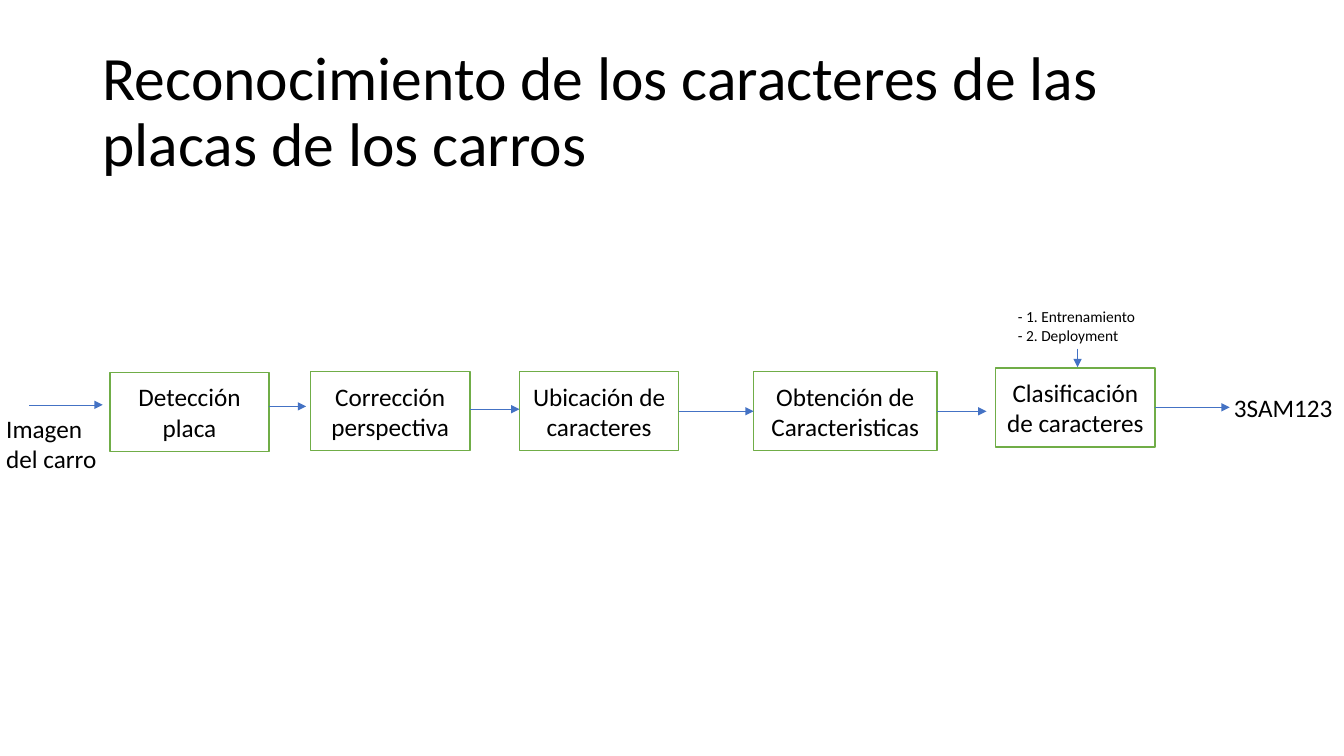
"""Build a slide with the steps that read the characters of a car plate."""
from lxml import etree
from pptx import Presentation
from pptx.dml.color import RGBColor
from pptx.enum import shapes, text
from pptx.oxml.ns import qn
from pptx.util import Pt

HUES = {"ink": "000000", "paper": "FFFFFF", "edge": "70AD47", "arrow": "4472C4"}
FONT = "Calibri"
HEAD = "Reconocimiento de los caracteres de las placas de los carros"
HIGH = 56.4
STEPS = [
    ("Detección placa", 78.5, 266, 113.8),
    ("Corrección perspectiva", 221.8, 265.5, 113.8),
    ("Ubicación de caracteres", 371, 265.5, 113.8),
    ("Obtención de Caracteristicas", 538.3, 265.5, 131),
    ("Clasificación de caracteres", 711.2, 263, 113.8),
]
NOTES = [
    (["Imagen", "del carro"], (-2.6, 291.6, 80, 51), 18, False),
    (["3SAM123"], (874.3, 276.5, 85.7, 29), 18, False),
    (["- 1. Entrenamiento", "- 2. Deployment"], (720, 216, 100, 34), 11, True),
]
FLOWS = [
    (21, 289.2, 73.4, 289.2),
    (192.3, 290.3, 218.7, 290.3),
    (335.6, 292.3, 371, 292.3),
    (484.8, 293.8, 538.3, 293.8),
    (669.3, 293.8, 704.7, 293.8),
    (825, 291, 878.4, 291),
    (769.7, 249.1, 769.7, 262.3),
]


def tint(key):
    return RGBColor.from_string(HUES[key])


def write(frame, lines, size=18, align="LEFT", anchor="TOP", wrap=True, lead=None):
    frame.auto_size = text.MSO_AUTO_SIZE.NONE
    frame.word_wrap = wrap
    frame.vertical_anchor = getattr(text.MSO_ANCHOR, anchor)
    for num, line in enumerate(lines):
        para = frame.add_paragraph() if num else frame.paragraphs[0]
        para.alignment = getattr(text.PP_ALIGN, align)
        if lead:
            para.line_spacing = lead
        run = para.add_run()
        run.text = line
        run.font.name, run.font.size = FONT, Pt(size)
        run.font.color.rgb = tint("ink")


def box(slide, label, *place):
    shape = slide.shapes.add_shape(shapes.MSO_SHAPE.RECTANGLE, *map(Pt, place))
    shape.shadow.inherit = False
    shape.fill.solid()
    shape.fill.fore_color.rgb = tint("paper")
    shape.line.color.rgb = tint("edge")
    shape.line.width = Pt(1)
    write(shape.text_frame, [label], align="CENTER", anchor="MIDDLE")


def arrow(slide, ends):
    link = slide.shapes.add_connector(shapes.MSO_CONNECTOR.STRAIGHT, *map(Pt, ends))
    link.line.color.rgb = tint("arrow")
    link.line.width = Pt(0.5)
    etree.SubElement(link.line._get_or_add_ln(), qn("a:tailEnd"), type="triangle")
    etree.SubElement(link._element.spPr, qn("a:effectLst"))


def main():
    deck = Presentation()
    deck.slide_width, deck.slide_height = Pt(960), Pt(540)
    slide = deck.slides.add_slide(deck.slide_layouts[5])
    title = slide.shapes.title
    title.left, title.top, title.width, title.height = map(Pt, (66, 28.8, 828, 104.4))
    write(title.text_frame, [HEAD], size=44, anchor="MIDDLE", lead=0.9)
    for label, left, top, wide in STEPS:
        box(slide, label, left, top, wide, HIGH)
    for ends in FLOWS:
        arrow(slide, ends)
    for lines, place, size, wrap in NOTES:
        note = slide.shapes.add_textbox(*map(Pt, place))
        write(note.text_frame, lines, size=size, wrap=wrap)
    deck.save("out.pptx")


if __name__ == "__main__":
    main()
